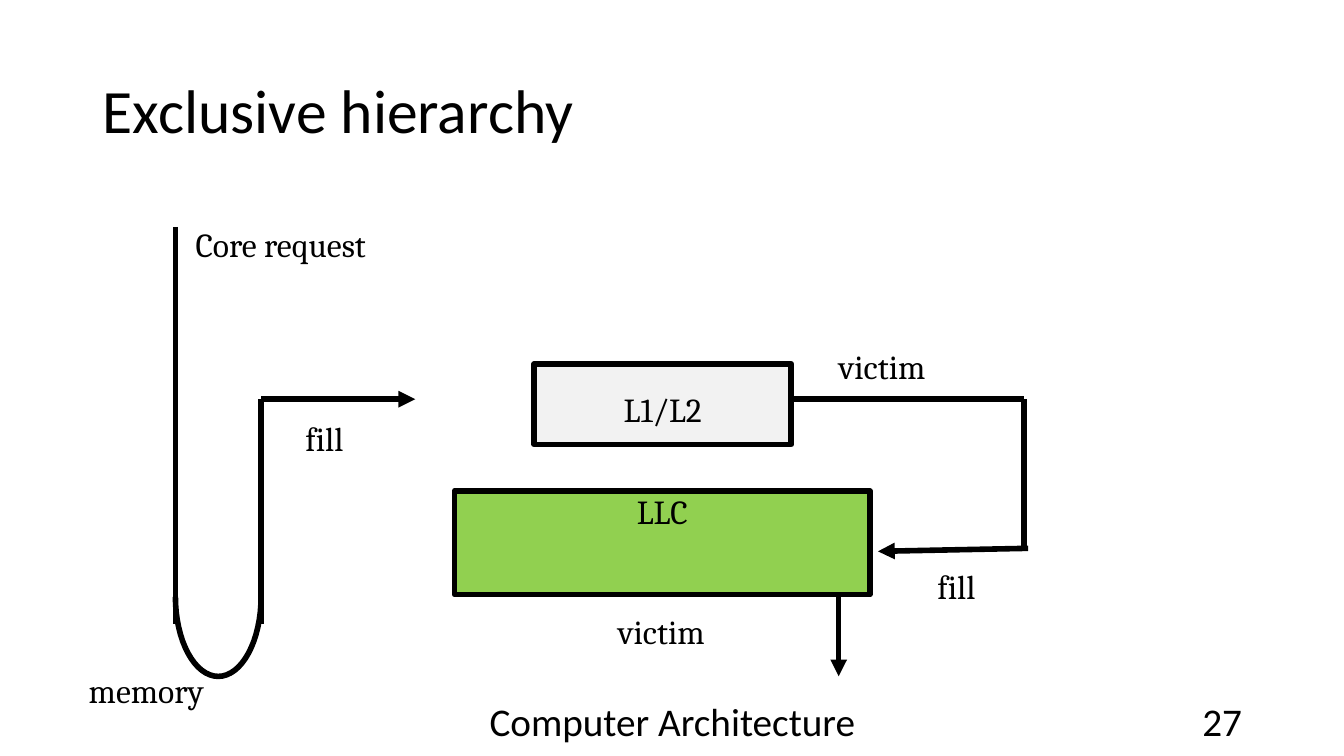
import math
from collections import namedtuple

import lxml.etree
import pptx
import pptx.dml.color
import pptx.enum.shapes
import pptx.enum.text
import pptx.oxml.ns
import pptx.util

Box = namedtuple("Box", "left top width height")

COLORS = {"ink": "000000", "upper_cache": "F2F2F2", "last_cache": "91D050"}
HEADING_FONT = "Calibri"
DIAGRAM_FONT = "Cambria"
LINE_WEIGHT = pptx.util.Pt(4)
COLUMNS, ROWS = 133.33, 75
SLIDE_WIDTH = pptx.util.Inches(13.33)
SLIDE_HEIGHT = pptx.util.Inches(7.5)
ALIGN = pptx.enum.text.PP_ALIGN
ANCHOR = pptx.enum.text.MSO_ANCHOR


def col(count):
    return round(SLIDE_WIDTH * count / COLUMNS)


def row(count):
    return round(SLIDE_HEIGHT * count / ROWS)


def emu(box):
    return col(box.left), row(box.top), col(box.width), row(box.height)


def inside(region, left, top, width, height):
    return Box(region.left + left, region.top + top, width, height)


def color(name):
    return pptx.dml.color.RGBColor.from_string(COLORS[name])


def write(frame, wording, size, font, align, anchor=ANCHOR.TOP):
    frame.text = wording
    frame.word_wrap = True
    frame.auto_size = pptx.enum.text.MSO_AUTO_SIZE.NONE
    frame.vertical_anchor = anchor
    paragraph = frame.paragraphs[0]
    paragraph.alignment = align
    paragraph.font.size = pptx.util.Pt(size)
    paragraph.font.name = font
    paragraph.font.color.rgb = color("ink")
    return paragraph


def clear_insets(frame):
    frame.margin_left = frame.margin_right = 0
    frame.margin_top = frame.margin_bottom = 0


def add_label(slide, box, wording):
    frame = slide.shapes.add_textbox(*emu(box)).text_frame
    clear_insets(frame)
    write(frame, wording, 24, DIAGRAM_FONT, ALIGN.LEFT)


def ink_line(line):
    line.color.rgb = color("ink")
    line.width = LINE_WEIGHT


def add_link(slide, region, start, end, arrow=False):
    link = slide.shapes.add_connector(
        pptx.enum.shapes.MSO_CONNECTOR.STRAIGHT,
        col(region.left + start[0]), row(region.top + start[1]),
        col(region.left + end[0]), row(region.top + end[1]))
    ink_line(link.line)
    if arrow:
        head = lxml.etree.SubElement(link.line._get_or_add_ln(), pptx.oxml.ns.qn("a:tailEnd"))
        head.set("type", "triangle")
    lxml.etree.SubElement(link._element.spPr, pptx.oxml.ns.qn("a:effectLst"))


def add_cache(slide, box, wording, fill, text_drop):
    cache = slide.shapes.add_shape(pptx.enum.shapes.MSO_SHAPE.RECTANGLE, *emu(box))
    cache.shadow.inherit = False
    cache.fill.solid()
    cache.fill.fore_color.rgb = color(fill)
    ink_line(cache.line)
    clear_insets(cache.text_frame)
    cache.text_frame.margin_top = row(text_drop)
    write(cache.text_frame, wording, 24, DIAGRAM_FONT, ALIGN.CENTER)


def add_turn(slide, box, steps=32):
    radius = box.width / 2
    points = []
    for step in range(steps + 1):
        angle = math.pi * step / steps
        points.append((col(box.left + radius - radius * math.cos(angle)),
                       row(box.top + box.height * math.sin(angle))))
    builder = slide.shapes.build_freeform(*points[0])
    builder.add_line_segments(points[1:], close=False)
    turn = builder.convert_to_shape()
    turn.shadow.inherit = False
    turn.fill.background()
    ink_line(turn.line)


def build_title(slide, box):
    title = slide.shapes.title
    title.left, title.top, title.width, title.height = emu(box)
    paragraph = write(title.text_frame, "Exclusive hierarchy", 44, HEADING_FONT,
                      ALIGN.LEFT, ANCHOR.MIDDLE)
    paragraph.line_spacing = 0.9


def build_footer(slide, box):
    for left, width, wording, align in ((0, 45, "Computer Architecture", ALIGN.CENTER),
                                        (50, 30, "27", ALIGN.RIGHT)):
        part = slide.shapes.add_textbox(*emu(inside(box, left, 0, width, box.height)))
        write(part.text_frame, wording, 28, HEADING_FONT, align, ANCHOR.MIDDLE)


def build_request_path(slide, box):
    down, back, fill_row, bottom = 8.6, 17.1, 17.4, 39.7
    add_link(slide, box, (down, 0.3), (down, bottom))
    add_link(slide, box, (back, bottom), (back, fill_row))
    add_turn(slide, inside(box, down, 37, back - down, 7.9))
    add_link(slide, box, (back, fill_row), (box.width, fill_row), arrow=True)
    add_label(slide, inside(box, 10.6, 0, 18.4, 3.6), "Core request")
    add_label(slide, inside(box, 21.5, 19.3, 4, 3.6), "fill")
    add_label(slide, inside(box, 0, 44.3, 12.3, 3.6), "memory")


def build_caches(slide, box):
    add_cache(slide, inside(box, 7.9, 1.8, 25.5, 8), "L1/L2", "upper_cache", 2.5)
    add_cache(slide, inside(box, 0, 14.4, 41.2, 10.3), "LLC", "last_cache", 0)
    victim_row, turn = 5.3, 56.5
    add_link(slide, box, (33.4, victim_row), (turn, victim_row))
    add_link(slide, box, (turn, victim_row), (turn, 20))
    add_link(slide, box, (box.width, 20.1), (42, 20.4), arrow=True)
    add_link(slide, box, (38.1, 24.7), (38.1, box.height), arrow=True)
    for left, top, width, wording in ((38.1, 0, 9.2, "victim"),
                                      (47.9, 21.8, 4, "fill"),
                                      (16.2, 26.3, 9.2, "victim")):
        add_label(slide, inside(box, left, top, width, 3.6), wording)


def main():
    deck = pptx.Presentation()
    deck.slide_width, deck.slide_height = SLIDE_WIDTH, SLIDE_HEIGHT
    slide = deck.slides.add_slide(deck.slide_layouts[5])
    build_title(slide, Box(9.2, 4, 115, 14.5))
    build_footer(slide, Box(44.2, 69.5, 80, 4))
    build_request_path(slide, Box(8.8, 22.2, 32.4, 47.9))
    build_caches(slide, Box(45.1, 34.3, 56.9, 32.8))
    deck.save("out.pptx")


if __name__ == "__main__":
    main()
